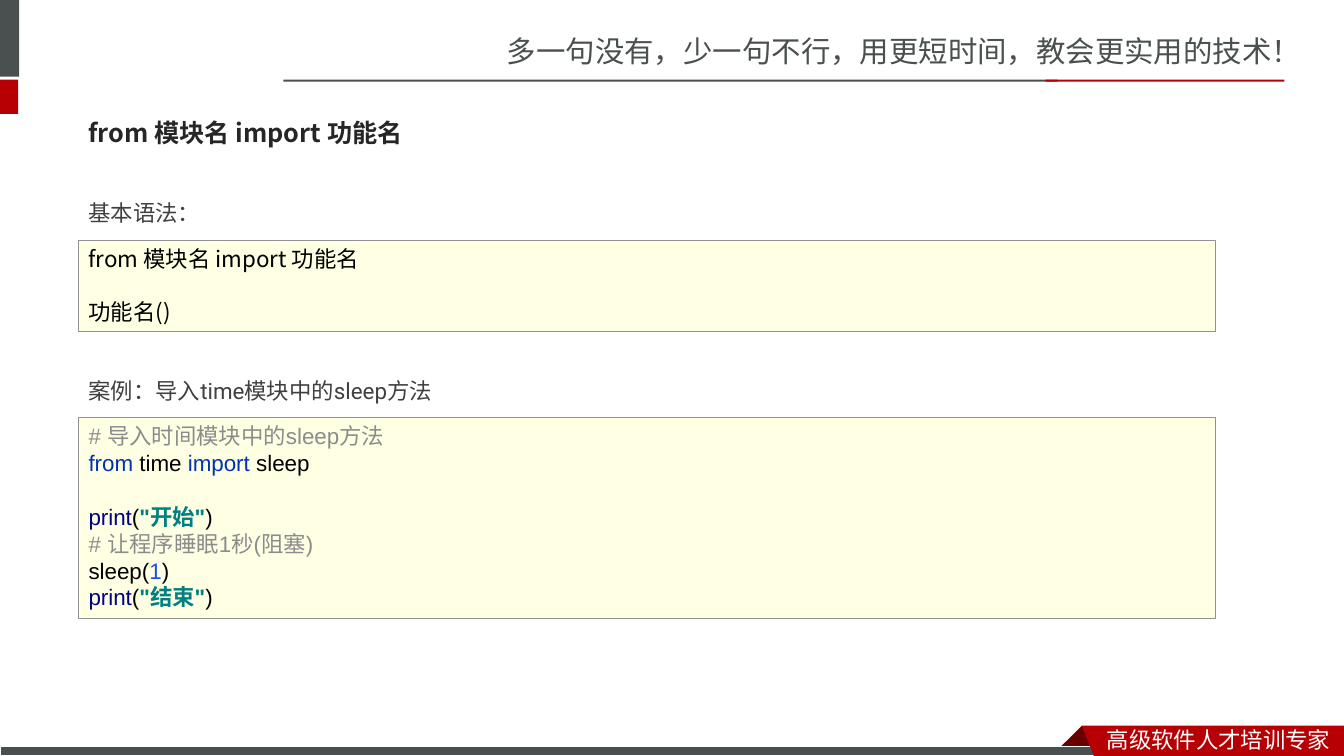
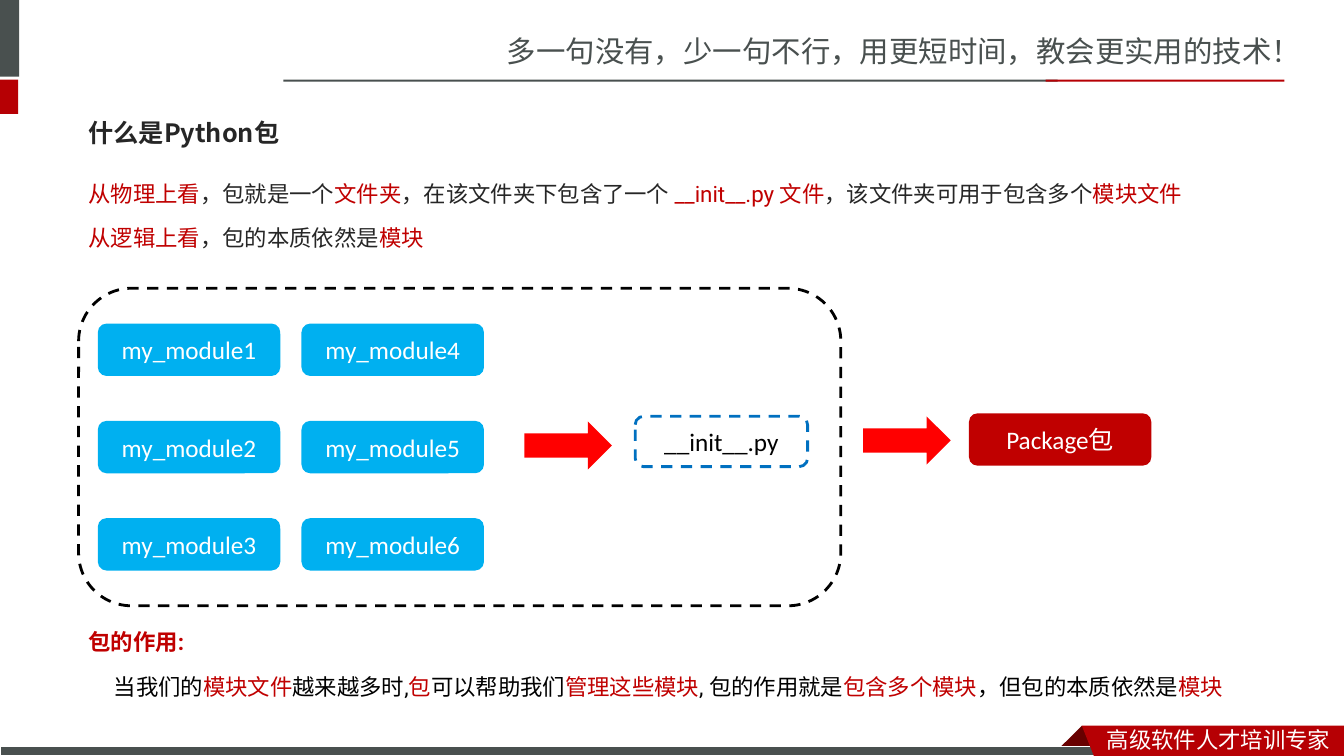
from pptx import Presentation
from pptx import util as u
from pptx.dml.color import RGBColor
from pptx.enum import dml, shapes, text
from pptx.oxml.ns import qn
from lxml import etree

CELL = 0.1  # inches; the slide is a grid of 133.3 columns by 75 rows
COLS, ROWS = 133.3, 75
LEFT = 7.8
SANS, HEADING, LATIN = "Noto Sans CJK SC", "Noto Sans CJK JP", "Roboto"
CODE, LABEL = "Arial", "Calibri"
SLATE, CRIMSON, MAROON = "49504F", "B60004", "680000"
RED, INK, GREY, BLACK, WHITE = "C00000", "262626", "404040", "000000", "FFFFFF"
KEYWORD, BUILTIN, STRING, COMMENT, NUMBER = "0033B3", "000080", "008080", "8C8C8C", "1750EB"
LEADING = 1.2


def cells(count):
    return u.Inches(count * CELL)


def place(col, row, cols, rows):
    return [cells(n) for n in (col, row, cols, rows)]


def color(hex_code):
    return RGBColor.from_string(hex_code)


def paint(shape, fill=None, line=None, weight=1, dash=False):
    shape.shadow.inherit = False
    if fill:
        shape.fill.solid()
        shape.fill.fore_color.rgb = color(fill)
    else:
        shape.fill.background()
    if line:
        shape.line.color.rgb = color(line)
        shape.line.width = u.Pt(weight)
        if dash:
            shape.line.dash_style = dml.MSO_LINE.DASH
    else:
        shape.line.fill.background()
    return shape


def write(shape, lines, size=16, font=SANS, tint=BLACK, bold=False, leading=LEADING,
          before=0, indent=0, align=text.PP_ALIGN.LEFT, anchor=text.MSO_ANCHOR.TOP):
    """Each line is a string or a list of (words, colour, bold) runs; None skips a row."""
    frame = shape.text_frame
    frame.word_wrap = True
    frame.vertical_anchor = anchor
    paragraph, skipped = None, 0
    for line in [lines] if isinstance(lines, str) else lines:
        if line is None:
            skipped += 1
            continue
        first = paragraph is None
        paragraph = frame.paragraphs[0] if first else frame.add_paragraph()
        paragraph.alignment = align
        paragraph.line_spacing = u.Pt(round(size * leading, 1))
        if not first:
            paragraph.space_before = u.Pt(before + skipped * size * leading)
            if indent:
                paragraph._p.get_or_add_pPr().set("indent", str(cells(indent)))
        skipped = 0
        for words, *style in [(line,)] if isinstance(line, str) else line:
            run = paragraph.add_run()
            run.text = words
            run.font.size = u.Pt(size)
            run.font.name = font
            run.font.color.rgb = color(style[0] if style else tint)
            run.font.bold = style[1] if len(style) > 1 else bold
            east_asian = etree.SubElement(run._r.get_or_add_rPr(), qn("a:ea"))
            east_asian.set("typeface", HEADING if font == HEADING else SANS)


def words_at(slide, area, lines, **style):
    write(slide.shapes.add_textbox(*place(*area)), lines, **style)


def block(slide, area, kind=shapes.MSO_SHAPE.RECTANGLE, **look):
    return paint(slide.shapes.add_shape(kind, *place(*area)), **look)


def outline(slide, points, fill):
    start, *rest = [(cells(x), cells(y)) for x, y in points]
    builder = slide.shapes.build_freeform(*start)
    builder.add_line_segments(rest, close=True)
    paint(builder.convert_to_shape(), fill)


def body(slide, row, lines, **style):
    words_at(slide, (LEFT, row, 123.5, 9), lines, font=LATIN,
             leading=LEADING * 1.5, before=3.2, **style)


def code_box(slide, row, rows, lines, font):
    box = block(slide, (LEFT, row, 112.7, rows), fill="FFFFE4", line="919191", weight=0.25)
    write(box, lines, font=font)


def label(slide, area, words, tint=WHITE, **look):
    box = block(slide, area, shapes.MSO_SHAPE.ROUNDED_RECTANGLE, **look)
    write(box, words, size=18, font=LABEL, tint=tint,
          align=text.PP_ALIGN.CENTER, anchor=text.MSO_ANCHOR.MIDDLE)


def arrow(slide, col, row):
    block(slide, (col, row, 8.7, 4.8), shapes.MSO_SHAPE.RIGHT_ARROW, fill="FF0000")


def framed_slide(deck, title):
    """Blank slide with the shared bands, slogan, footer and a title."""
    slide = deck.slides.add_slide(deck.slide_layouts[6])
    words_at(slide, (49.3, 2.8, 84, 4.5), "多一句没有，少一句不行，用更短时间，教会更实用的技术！",
             size=21, tint=SLATE)
    for area, fill in (((0, 0, 1.9, 7.6), SLATE), ((0, 7.9, 1.8, 3.4), CRIMSON),
                       ((28.1, 7.9, 76.8, 0.2), SLATE), ((103.7, 7.9, 23.7, 0.2), CRIMSON)):
        block(slide, area, fill=fill)
    fold = (107.3, 72)
    outline(slide, [fold, (109.5, 74.2), (109.4, 74.3), (105.2, 74.3), (105.1, 74.2)], MAROON)
    block(slide, (0, 74.1, 109.9, 0.9), fill=SLATE, line=WHITE, weight=0.75)
    outline(slide, [fold, (COLS, 72), (COLS, ROWS), (108.5, ROWS)], CRIMSON)
    words_at(slide, (108.8, 71.5, 24.5, 3.5), "高级软件人才培训专家", tint=WHITE)
    words_at(slide, (LEFT, 10.3, 117.6, 5.7), title, size=18, font=HEADING, tint=INK,
             bold=True, anchor=text.MSO_ANCHOR.MIDDLE)
    return slide


def import_slide(deck):
    syntax = "from 模块名 import 功能名"
    slide = framed_slide(deck, syntax)
    body(slide, 17.9, "基本语法：", tint=GREY)
    code_box(slide, 23.8, 9.1, [syntax, None, "功能名()"], HEADING)
    body(slide, 35.6, "案例：导入time模块中的sleep方法", tint=GREY)

    def print_line(words):
        return [("print", BUILTIN), ("(",), (f'"{words}"', STRING, True), (")",)]

    code_box(slide, 41.4, 19.9, [
        [("# 导入时间模块中的sleep方法", COMMENT)],
        [("from ", KEYWORD), ("time ",), ("import ", KEYWORD), ("sleep",)],
        None,
        print_line("开始"),
        [("# 让程序睡眠1秒(阻塞)", COMMENT)],
        [("sleep(",), ("1", NUMBER), (")",)],
        print_line("结束"),
    ], CODE)


def package_slide(deck):
    slide = framed_slide(deck, "什么是Python包")
    body(slide, 16, [
        [("从物理上看", RED), ("，包就是一个",), ("文件夹", RED), ("，在该文件夹下包含了一个 ",),
         ("__init__.py 文件", RED), ("，该文件夹可用于包含多个",), ("模块文件", RED)],
        [("从逻辑上看", RED), ("，包的本质依然是",), ("模块", RED)],
    ], tint=INK)
    body(slide, 60.5, [
        [("包的作用:", RED, True)],
        [("当我们的",), ("模块文件", RED), ("越来越多时,",), ("包", RED), ("可以帮助我们",),
         ("管理这些模块", RED), (", 包的作用就是",), ("包含多个模块", RED),
         ("，但包的本质依然是",), ("模块", RED)],
    ], indent=2.5)

    for index in range(6):
        col, row = divmod(index, 3)
        label(slide, (9.7 + 20.2 * col, 32.1 + 9.65 * row, 18.1, 5.2),
              f"my_module{index + 1}", fill="00B0F0")
    block(slide, (LEFT, 28.6, 75.6, 31.5), shapes.MSO_SHAPE.ROUNDED_RECTANGLE,
          line=BLACK, weight=2, dash=True)
    arrow(slide, 52, 41.8)
    label(slide, (63, 41.3, 17.1, 5), "__init__.py", tint=BLACK,
          line="0070C0", weight=2, dash=True)
    arrow(slide, 85.6, 41.3)
    label(slide, (96.1, 41, 18.1, 5.2), "Package包", fill=RED)


def main():
    deck = Presentation()
    deck.slide_width, deck.slide_height = cells(COLS), cells(ROWS)
    import_slide(deck)
    package_slide(deck)
    deck.save("out.pptx")


if __name__ == "__main__":
    main()
